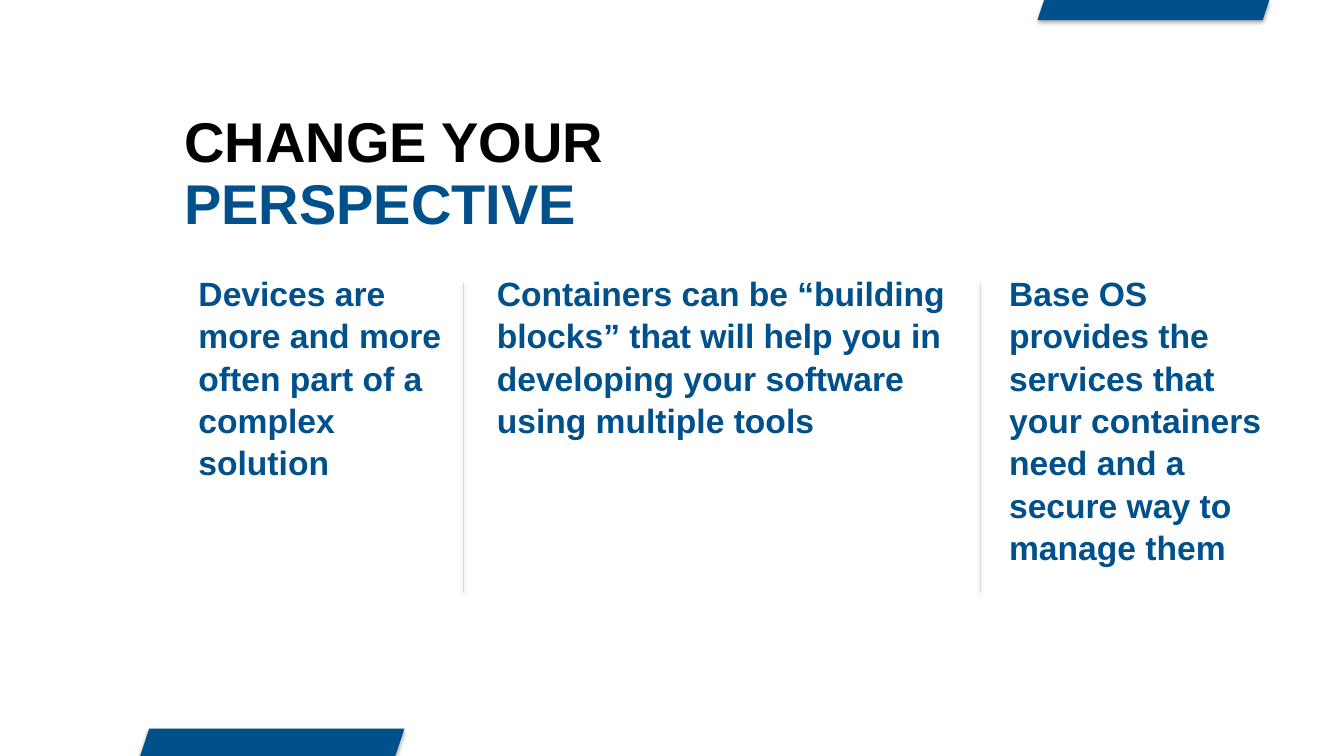
from lxml import etree
from pptx import Presentation
from pptx import util as u
from pptx.dml.color import RGBColor
from pptx.enum import shapes, text
from pptx.oxml.ns import qn

BLUE = RGBColor(0x00, 0x50, 0x8C)
BLACK = RGBColor(0x00, 0x00, 0x00)
GREY = RGBColor(0xD9, 0xD9, 0xD9)


def write_text(box, words, size=24, color=BLUE, font="Arial", bold=True, spacing=1.05):
    frame = box.text_frame
    frame.word_wrap = True
    frame.auto_size = text.MSO_AUTO_SIZE.NONE
    frame.vertical_anchor = text.MSO_ANCHOR.TOP
    para = frame.paragraphs[0]
    para.alignment = text.PP_ALIGN.LEFT
    para.line_spacing = spacing
    para.space_before = u.Pt(0)
    span = para.add_run()
    span.text = words
    span.font.name = font
    span.font.size = u.Pt(size)
    span.font.bold = bold
    span.font.color.rgb = color


class SlideBuilder:
    def __init__(self, page):
        self.page = page

    def title(self, words, left, top, width, height, **style):
        box = self.page.shapes.title
        box.left, box.top = u.Inches(left), u.Inches(top)
        box.width, box.height = u.Inches(width), u.Inches(height)
        write_text(box, words, **style)

    def text_box(self, words, left, top, width, height, **style):
        box = self.page.shapes.add_textbox(*map(u.Inches, (left, top, width, height)))
        write_text(box, words, **style)

    def accent(self, left, top, width, height):
        bar = self.page.shapes.add_shape(
            shapes.MSO_SHAPE.PARALLELOGRAM, *map(u.Inches, (left, top, width, height)))
        bar.adjustments[0] = 0.33
        bar.fill.solid()
        bar.fill.fore_color.rgb = BLUE
        bar.line.fill.background()
        self.shadow(bar, distance=1.8, opacity=35)

    def divider(self, left, top, bottom):
        line = self.page.shapes.add_connector(
            shapes.MSO_CONNECTOR.STRAIGHT, *map(u.Inches, (left, top, left, bottom)))
        line.line.color.rgb = GREY
        line.line.width = u.Pt(0.25)
        self.shadow(line, distance=1.6, opacity=38)

    def shadow(self, item, distance, opacity, blur=3.1):
        effects = etree.SubElement(item._element.spPr, qn("a:effectLst"))
        outer = etree.SubElement(
            effects, qn("a:outerShdw"), blurRad=str(u.Pt(blur)),
            dist=str(u.Pt(distance)), dir="5400000", rotWithShape="0")
        color = etree.SubElement(outer, qn("a:srgbClr"), val=str(BLACK))
        etree.SubElement(color, qn("a:alpha"), val=str(opacity * 1000))


def main():
    deck = Presentation()
    deck.slide_width, deck.slide_height = u.Inches(13.33), u.Inches(7.5)
    page = deck.slides.add_slide(deck.slide_layouts[5])
    builder = SlideBuilder(page)

    builder.accent(10.29, 0, 2.3, 0.2)
    builder.accent(1.39, 7.23, 2.62, 0.27)
    builder.title("CHANGE YOUR", 1.73, 0.97, 6.63, 0.77, size=40, color=BLACK)
    builder.text_box("PERSPECTIVE", 1.73, 1.59, 5.21, 0.77, size=40)

    columns = [
        (1.87, 2.72, "Devices are more and more often part of a complex solution"),
        (4.83, 4.73, "Containers can be “building blocks” that will help you in "
                     "developing your software using multiple tools"),
        (9.91, 2.89, "Base OS provides the services that your containers need "
                     "and a secure way to manage them"),
    ]
    for left, width, words in columns:
        builder.text_box(words, left, 2.64, width, 3.23)
    for left in (4.59, 9.72):
        builder.divider(left, 2.81, 5.87)

    deck.save("out.pptx")


if __name__ == "__main__":
    main()
